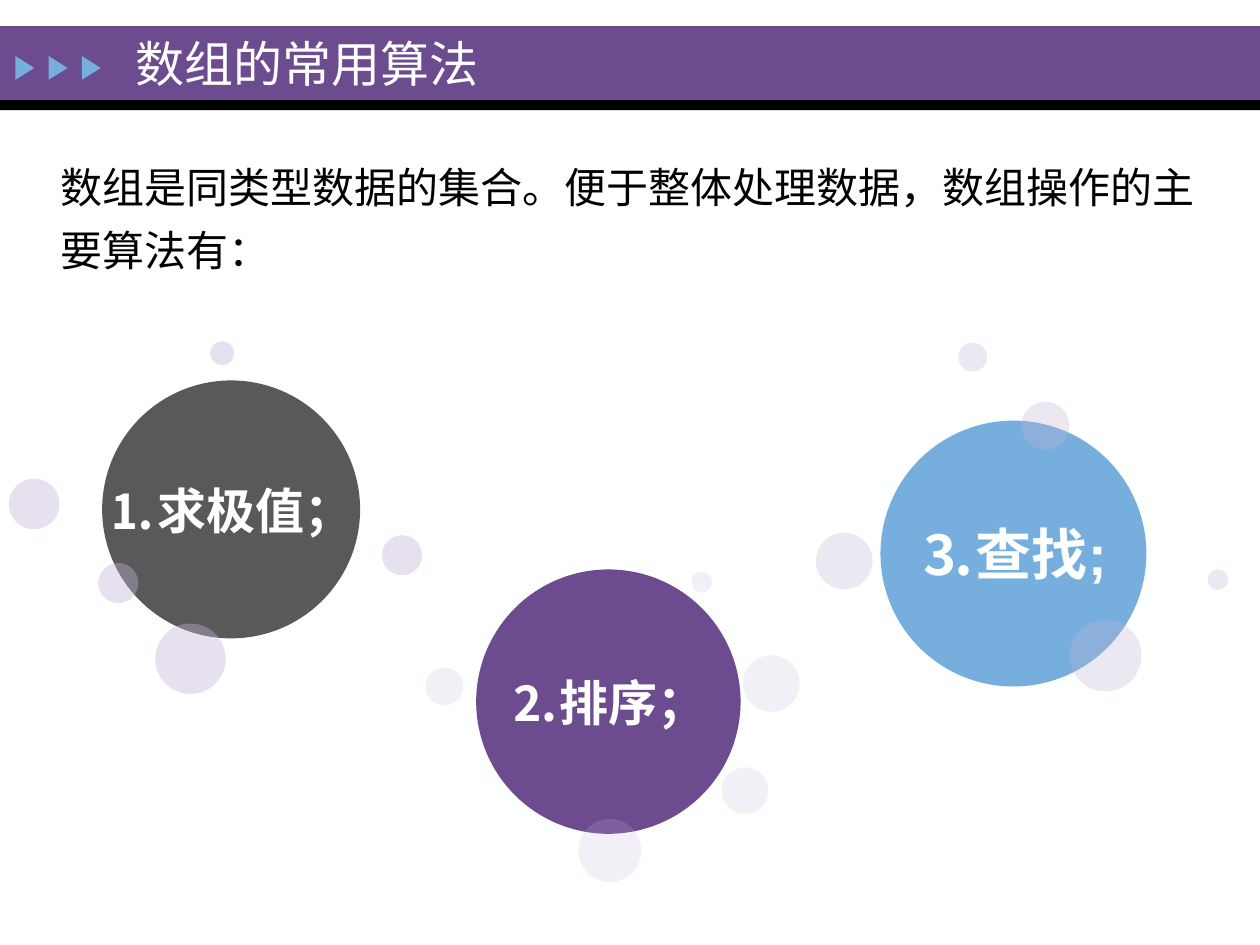
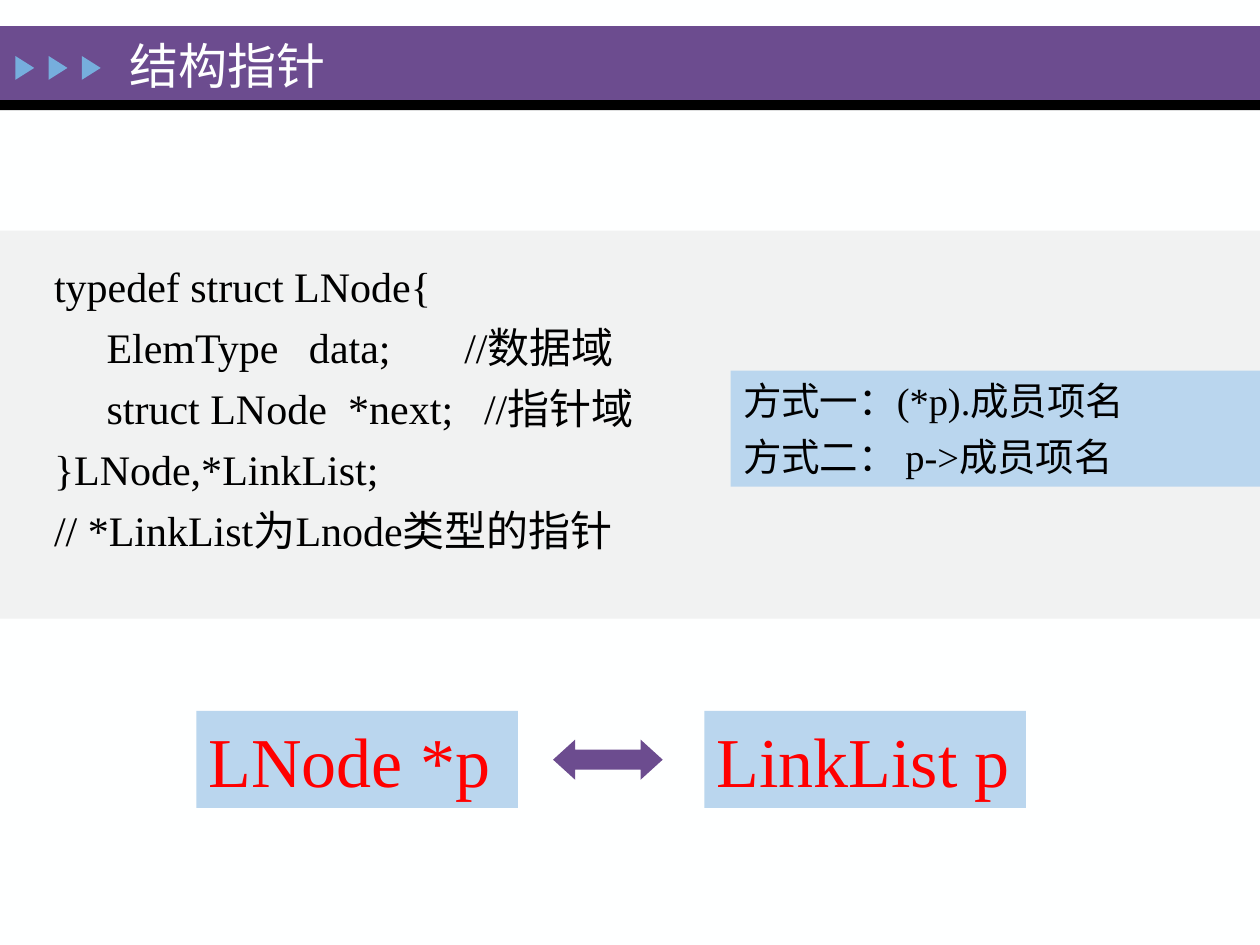
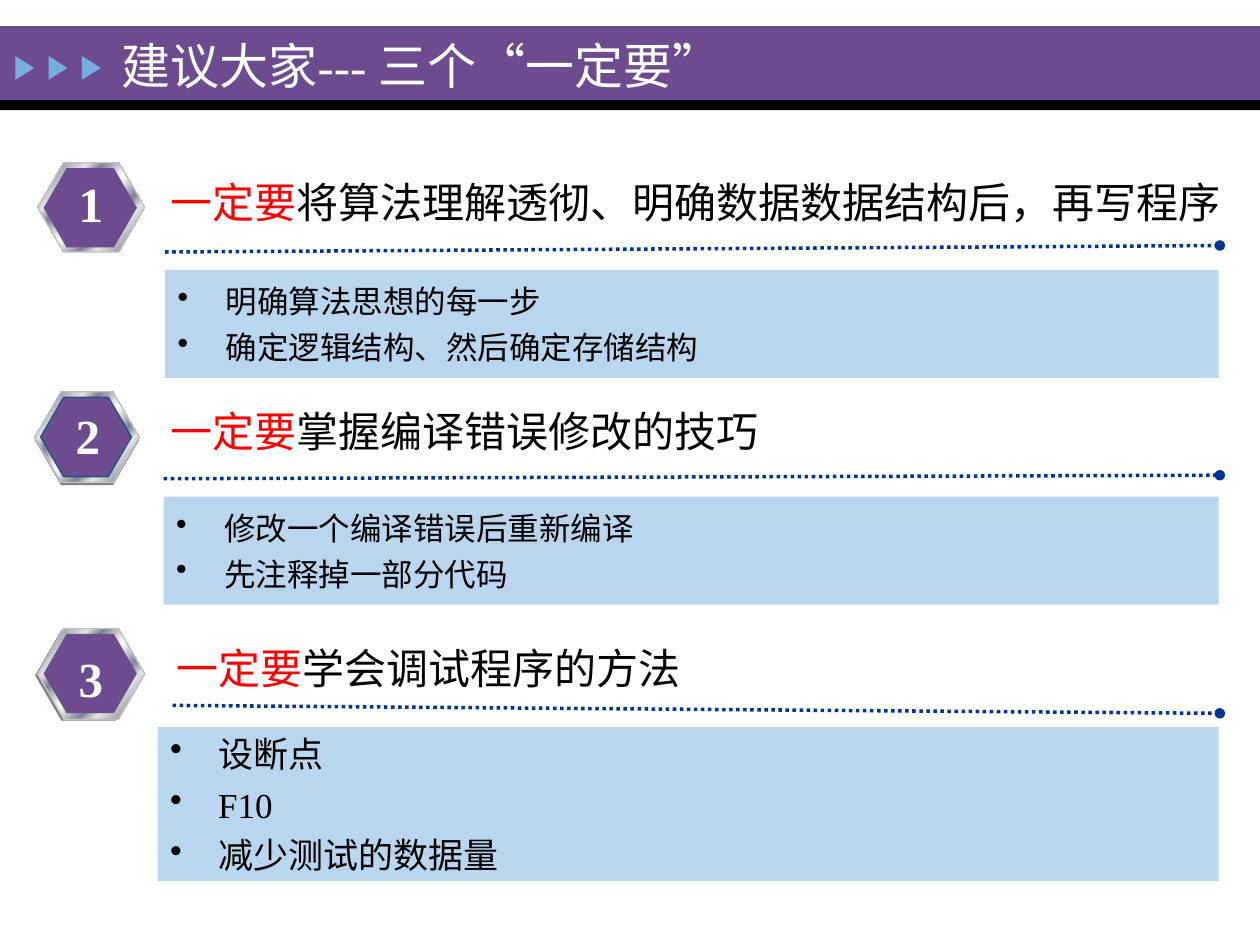
from lxml import etree
from pptx import Presentation
from pptx.dml.color import RGBColor
from pptx.enum.dml import MSO_LINE
from pptx.enum.shapes import MSO_CONNECTOR, MSO_SHAPE
from pptx.enum.text import MSO_ANCHOR, PP_ALIGN
from pptx.oxml.ns import qn
from pptx.util import Cm, Pt

RECT, ROUND_RECT = MSO_SHAPE.RECTANGLE, MSO_SHAPE.ROUNDED_RECTANGLE
OVAL, HEXAGON = MSO_SHAPE.OVAL, MSO_SHAPE.HEXAGON
TRIANGLE, DOUBLE_ARROW = MSO_SHAPE.ISOSCELES_TRIANGLE, MSO_SHAPE.LEFT_RIGHT_ARROW
STRAIGHT, DOTTED = MSO_CONNECTOR.STRAIGHT, MSO_LINE.ROUND_DOT
LEFT, CENTER = PP_ALIGN.LEFT, PP_ALIGN.CENTER
TOP, MIDDLE = MSO_ANCHOR.TOP, MSO_ANCHOR.MIDDLE

PURPLE, BLUE, PALE_BLUE = "6C4C8F", "76AEDD", "BAD6EE"
LILAC, GREY, DARK_GREY, SILVER = "C4B3D7", "808080", "595959", "C0C0C0"
BLACK, WHITE, PAPER, RED = "000000", "FFFFFF", "FEFFFF", "FF0000"
NAVY, STEEL = "003399", "1F5281"
SERIF, SANS = "Times New Roman", "Arial"
METAL = [(0, "E6E6E6"), (8, "7D8496"), (26, "E6E6E6"), (34, "7D8496"),
         (46, "E6E6E6"), (50, "FFFFFF"), (54, "E6E6E6"), (66, "7D8496"),
         (74, "E6E6E6"), (92, "7D8496"), (100, "E6E6E6")]
SLIDE_W, SLIDE_H = 25.4, 19.05
HANG = 0.97


def rgb(value):
    """Turn a hex string into a colour."""
    return RGBColor.from_string(value)


def lengths(*values):
    """Turn centimetres into lengths."""
    return [Cm(v) for v in values]


def add_xml(parent, tag, **attrs):
    """Append a child element with the given attributes."""
    child = etree.SubElement(parent, qn(tag))
    for key, value in attrs.items():
        child.set(key, str(value))
    return child


def shape(slide, kind, box, fill, alpha=None, line=None):
    """Add a flat preset shape, with an optional opacity and thin outline."""
    s = slide.shapes.add_shape(kind, *lengths(*box))
    s.shadow.inherit = False
    s.fill.solid()
    s.fill.fore_color.rgb = rgb(fill)
    if alpha is not None:
        color = s._element.spPr.find(qn("a:solidFill"))[0]
        add_xml(color, "a:alpha", val=alpha * 1000)
    if line:
        s.line.color.rgb = rgb(line)
        s.line.width = Pt(0.75)
    else:
        s.line.fill.background()
    return s


def write(s, lines, size, color=BLACK, font=SERIF, bold=False, align=LEFT,
          anchor=TOP, wrap=True, gap=0.25, spacing=None, bullet=False, tabs=()):
    """Write paragraphs; a line is a string or a list of (text, colour) runs."""
    tf = s.text_frame
    tf.word_wrap = wrap
    tf.vertical_anchor = anchor
    for i, line in enumerate(lines):
        p = tf.paragraphs[0] if i == 0 else tf.add_paragraph()
        if bullet:
            pPr = p._p.get_or_add_pPr()
            pPr.set("marL", str(Cm(HANG)))
            pPr.set("indent", str(-Cm(HANG)))
            add_xml(pPr, "a:buChar", char="•")
        if i < len(tabs) and tabs[i]:
            stops = add_xml(p._p.get_or_add_pPr(), "a:tabLst")
            for pos in tabs[i]:
                add_xml(stops, "a:tab", pos=Cm(pos), algn="l")
        p.alignment = align
        p.space_before = Pt(size * gap)
        if spacing:
            p.line_spacing = spacing
        p.font.name, p.font.size, p.font.bold = font, Pt(size), bold
        if isinstance(line, str):
            p.font.color.rgb = rgb(color)
            p.add_run().text = line
        else:
            for text, run_color in line:
                r = p.add_run()
                r.text = text
                r.font.color.rgb = rgb(run_color)


def text_box(slide, box, lines, size, **style):
    """Add a text box and write in it."""
    s = slide.shapes.add_textbox(*lengths(*box))
    write(s, lines, size, **style)


def title_band(slide, title, box):
    """Draw the title band with its three pointers and the title."""
    shape(slide, RECT, (0, 0.53, SLIDE_W, 1.5), PURPLE)
    shape(slide, RECT, (0, 2.02, SLIDE_W, 0.2), BLACK)
    for i in range(3):
        s = shape(slide, TRIANGLE, (0.26 + 0.67 * i, 1.18, 0.48, 0.38), BLUE)
        s.rotation = 90
    text_box(slide, box, [title], 28, color=PAPER, anchor=MIDDLE, gap=0)


def bubble_cluster(slide, x, y, d, fill, label, size, alpha, dots):
    """Draw a labelled circle with faint dots placed from its corner."""
    s = shape(slide, OVAL, (x, y, d, d), fill)
    tf = s.text_frame
    tf.margin_left = tf.margin_right = tf.margin_top = tf.margin_bottom = 0
    write(s, [label], size, color=PAPER, font=SANS, bold=True, align=CENTER,
          anchor=MIDDLE, wrap=False)
    for dx, dy, dot in dots:
        shape(slide, OVAL, (x + dx, y + dy, dot, dot), LILAC, alpha)


def code_panel(slide, x, y, w, h):
    """Draw the code listing and the two ways to reach a member."""
    panel = shape(slide, ROUND_RECT, (x, y, w, h), SILVER, 20)
    panel.adjustments[0] = 0
    s = shape(slide, RECT, (x + 14.73, y + 2.82, 10.67, 2.34), PALE_BLUE)
    write(s, ["方式一：(*p).成员项名", "方式二： p->成员项名"], 22)
    code = ["typedef struct LNode{",
            "\tElemType\tdata;\t//数据域",
            "\tstruct LNode\t*next;\t//指针域",
            "}LNode,*LinkList;",
            "// *LinkList为Lnode类型的指针"]
    text_box(slide, (x + 0.84, y + 0.48, 12.85, 6.86), code, 24,
             tabs=[(), (1.06, 5.14, 8.27), (1.06, 5.93, 8.67)])


def equivalence(slide, x, y, w, h):
    """Draw two equal declarations joined by a double arrow."""
    box_w = 6.48
    for left, text in ((x, "LNode *p"), (x + w - box_w, "LinkList p")):
        s = shape(slide, RECT, (left, y, box_w, h), PALE_BLUE)
        write(s, [text], 40, color=RED)
    arrow = shape(slide, DOUBLE_ARROW, (x + 7.19, y + 0.58, 2.21, 0.81), PURPLE)
    arrow.adjustments[0], arrow.adjustments[1] = 0.5, 0.55


def hexagon(slide, box, fill, line=None):
    """Draw a regular hexagon."""
    s = shape(slide, HEXAGON, box, fill, line=line)
    s.adjustments[0] = 0.29
    return s


def badge(slide, x, y, w, h, number, drop, shade=None, edge=None):
    """Draw a numbered hexagon with a metal rim and an optional shade."""
    if shade:
        hexagon(slide, (x + shade[0], y + shade[1], w, h), GREY)
    rim = hexagon(slide, (x, y, w, h), SILVER, SILVER)
    rim.fill.gradient()
    grad = rim._element.spPr.find(qn("a:gradFill"))
    stops = grad.find(qn("a:gsLst"))
    stops.clear()
    for pos, color in METAL:
        stop = add_xml(stops, "a:gs", pos=pos * 1000)
        add_xml(stop, "a:srgbClr", val=color)
    grad.find(qn("a:lin")).set("ang", "2700000")
    hexagon(slide, (x + 0.12, y + 0.11, w - 0.28, 1.6), PURPLE, edge)
    text_box(slide, (x + 0.56, y + drop, 1.02, 1.45), [number], 28,
             color=WHITE, bold=True, align=CENTER, wrap=False)


def dotted_rule(slide, x1, y1, x2, y2):
    """Draw a dotted line that ends in a round dot."""
    c = slide.shapes.add_connector(STRAIGHT, *lengths(x1, y1, x2, y2))
    c.line.color.rgb = rgb(NAVY)
    c.line.width = Pt(2)
    c.line.dash_style = DOTTED
    add_xml(c.line._ln, "a:tailEnd", type="oval")
    add_xml(c._element.spPr, "a:effectLst")


def advice(slide, y, heading_x, heading, rule, points_box, points, size):
    """Draw a heading, its rule and its bullet box, all measured from y."""
    text_box(slide, (heading_x, y + 0.16, 21.97, 1.3),
             [[("一定要", RED), (heading, BLACK)]], 24)
    x1, dy1, dy2 = rule
    dotted_rule(slide, x1, y + dy1, 24.59, y + dy2)
    x, dy, h = points_box
    s = shape(slide, RECT, (x, y + dy, 24.57 - x, h), PALE_BLUE)
    write(s, points, size, anchor=MIDDLE, bullet=True)


def algorithms_slide(slide):
    """Build the slide on common array algorithms."""
    title_band(slide, "数组的常用算法", (2.49, 0.48, 11.5, 1.57))
    text_box(slide, (0.97, 2.87, 23.8, 2.72),
             ["数组是同类型数据的集合。便于整体处理数据，数组操作的主要算法有："],
             24, spacing=1.25)
    bubble_cluster(slide, 9.6, 11.48, 5.33, PURPLE, "⒉排序；", 28, 20,
                   [(-1.02, 1.98, 0.76), (2.06, 5.03, 1.27), (4.34, 0.05, 0.41),
                    (4.95, 3.99, 0.94), (5.38, 1.73, 1.14)])
    bubble_cluster(slide, 17.75, 8.48, 5.36, BLUE, "⒊查找;", 32, 30,
                   [(-1.3, 2.26, 1.14), (1.57, -1.57, 0.58), (3.81, 4.01, 1.45),
                    (6.6, 3, 0.41), (2.84, -0.38, 0.97)])
    bubble_cluster(slide, 2.06, 7.67, 5.2, DARK_GREY, "⒈求极值；", 28, 40,
                   [(5.64, 3.12, 0.81), (-0.08, 3.68, 0.81), (1.07, 4.9, 1.42),
                    (2.18, -0.79, 0.48), (-1.88, 1.98, 1.02)])


def pointer_slide(slide):
    """Build the slide on pointers to structures."""
    title_band(slide, "结构指针", (2.36, 0.53, 8.53, 1.57))
    code_panel(slide, 0, 4.65, SLIDE_W, 7.82)
    equivalence(slide, 3.96, 14.33, 16.72, 1.96)


def advice_slide(slide):
    """Build the slide with the three pieces of advice."""
    title_band(slide, "建议大家--- 三个“一定要”", (2.21, 0.53, 23, 1.57))
    badge(slide, 0.76, 3.28, 2.16, 1.8, "1", 0.1)
    advice(slide, 3.28, 3.18, "将算法理解透彻、明确数据数据结构后，再写程序",
           (3.33, 1.8, 1.67), (3.33, 2.16, 2.18),
           ["明确算法思想的每一步", "确定逻辑结构、然后确定存储结构"], 18)
    badge(slide, 0.7, 7.9, 2.11, 1.83, "2", 0.15, (0, 0.05), STEEL)
    advice(slide, 7.9, 3.18, "掌握编译错误修改的技巧",
           (3.3, 1.75, 1.68), (3.3, 2.11, 2.18),
           ["修改一个编译错误后重新编译", "先注释掉一部分代码"], 18)
    badge(slide, 0.76, 12.67, 2.16, 1.83, "3", 0.28, (-0.05, 0.03))
    advice(slide, 12.67, 3.3, "学会调试程序的方法",
           (3.48, 1.55, 1.71), (3.18, 1.99, 3.1),
           ["设断点", "F10", "减少测试的数据量"], 20)


def main():
    """Build and save the presentation."""
    prs = Presentation()
    prs.slide_width, prs.slide_height = lengths(SLIDE_W, SLIDE_H)
    fill = prs.slide_master.background.fill
    fill.solid()
    fill.fore_color.rgb = rgb(PAPER)
    for build in (algorithms_slide, pointer_slide, advice_slide):
        build(prs.slides.add_slide(prs.slide_layouts[6]))
    prs.save("out.pptx")


if __name__ == "__main__":
    main()
